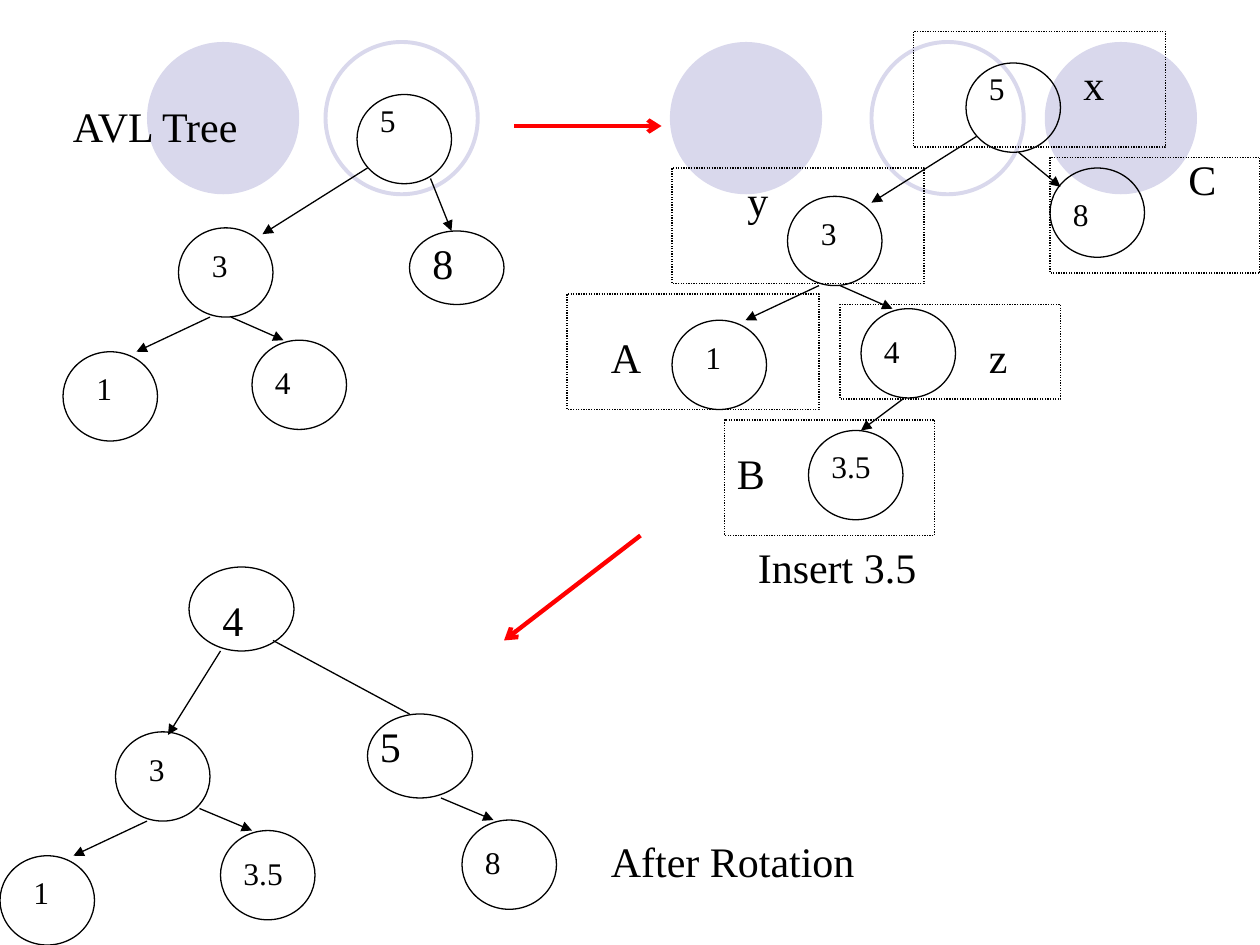
"""Build a slide showing an AVL tree before insertion, after it and after rotation."""
from dataclasses import dataclass

from lxml import etree
from pptx import Presentation
from pptx.dml.color import RGBColor
from pptx.enum.dml import MSO_LINE
from pptx.enum.shapes import MSO_CONNECTOR, MSO_SHAPE
from pptx.enum.text import MSO_ANCHOR, PP_ALIGN
from pptx.oxml.ns import qn
from pptx.util import Inches, Pt

OVAL, RECT = MSO_SHAPE.OVAL, MSO_SHAPE.RECTANGLE
STRAIGHT, DOTTED = MSO_CONNECTOR.STRAIGHT, MSO_LINE.ROUND_DOT
TOP, LEFT = MSO_ANCHOR.TOP, PP_ALIGN.LEFT


@dataclass(frozen=True)
class Theme:
    """Colours, font and sizes of the slide."""
    ink: RGBColor = RGBColor(0, 0, 0)
    lilac: RGBColor = RGBColor(0xD9, 0xD8, 0xEC)
    red: RGBColor = RGBColor(0xFF, 0, 0)
    font: str = "Times New Roman"
    small: int = 18
    large: int = 24
    thin: float = 0.75
    ring: float = 2.25
    thick: float = 2.5


THEME = Theme()
WIDTH, HEIGHT = Inches(10), Inches(7.5)
COLUMNS, ROWS = 120, 90
NODE, WIDE, FLAT = (9, 8.5), (10, 8), (9, 7)
CIRCLE_TOP, CIRCLE_SIZE = 4, 14.5
DISCS, RINGS = (63.8, 99.5, 14), (83, 31)

TITLE = ("AVL Tree", (5.75, 9), (48, 6))
CAPTIONS = [("Insert 3.5", (71, 51), (49, 6)), ("After Rotation", (57, 79), (30, 6))]

TREES = {
    "before": {
        "nodes": [
            ("5", (34, 9), NODE, (1, 0), THEME.small),
            ("3", (17, 21.7), NODE, (2, 1.1), THEME.small),
            ("1", (6, 33.5), NODE, (2, 1.1), THEME.small),
            ("4", (24, 32.4), NODE, (1, 1.6), THEME.small),
            ("8", (39, 22), FLAT, (1, 0), THEME.large),
        ],
        "edges": [
            ((35, 16), (25, 22.3), "triangle"),
            ((41, 17), (43, 22), "triangle"),
            ((20, 30.2), (13, 33.5), "triangle"),
            ((22, 30.2), (27, 32.4), "triangle"),
        ],
    },
    "inserted": {
        "nodes": [
            ("5", (92, 6), NODE, (1, 0), THEME.small),
            ("3", (75, 18.7), NODE, (2, 1.1), THEME.small),
            ("1", (64, 30.5), NODE, (2, 1.1), THEME.small),
            ("4", (82, 29.4), NODE, (1, 1.6), THEME.small),
            ("8", (100, 16), NODE, (1, 2), THEME.small),
            ("3.5", (77, 41), NODE, (1, 1), THEME.small),
        ],
        "edges": [
            ((93, 13), (83, 19.3), "triangle"),
            ((97, 14.5), (101, 17.8), "triangle"),
            ((78, 27.2), (71, 30.5), "triangle"),
            ((80, 27.2), (85, 29.4), "triangle"),
            ((86, 38), (82, 41), "triangle"),
        ],
    },
    "rotated": {
        "nodes": [
            ("4", (18, 54), WIDE, (2, 2), THEME.large),
            ("5", (35, 68), WIDE, (0, 0), THEME.large),
            ("3", (11, 69.7), NODE, (2, 1.1), THEME.small),
            ("1", (0, 81.5), NODE, (2, 1.1), THEME.small),
            ("3.5", (21, 79.1), NODE, (1, 1.6), THEME.small),
            ("8", (44, 78.1), NODE, (1, 1.6), THEME.small),
        ],
        "edges": [
            ((26, 61), (39, 68), None),
            ((21, 62), (16, 70), "triangle"),
            ((14, 78.2), (7, 81.5), "triangle"),
            ((19, 77), (24, 79.1), "triangle"),
            ((42, 76), (47, 78.1), "triangle"),
        ],
    },
}

SUBTREES = [
    ("x", (87, 3), (24, 11), (15, 2)),
    ("y", (64, 16), (24, 11), (6, 0)),
    ("A", (54, 28), (24, 11), (3, 3)),
    ("z", (80, 29), (21, 9), (13, 2)),
    ("B", (69, 40), (20, 11), (0, 2)),
    ("C", (100, 15), (20, 11), (12, -1)),
]
STEPS = [((49, 12), (63, 12)), ((61, 51), (48, 61))]


def place(column, row):
    return round(WIDTH * column / COLUMNS), round(HEIGHT * row / ROWS)


def assign(target, formats):
    for key, value in formats.items():
        setattr(target, key, value)


def add_outline(slide, preset, corner, size, color=THEME.ink, weight=THEME.thin, filled=False):
    outline = slide.shapes.add_shape(preset, *place(*corner), *place(*size))
    outline.shadow.inherit = False
    if filled:
        outline.fill.solid()
        outline.fill.fore_color.rgb = color
        outline.line.fill.background()
    else:
        outline.fill.background()
        outline.line.color.rgb = color
        outline.line.width = Pt(weight)
    return outline


def write(box, text, size):
    frame = box.text_frame
    assign(frame, {"text": text, "word_wrap": True, "vertical_anchor": TOP,
                   "margin_left": Inches(0.1), "margin_right": Inches(0.1),
                   "margin_top": Inches(0.05), "margin_bottom": Inches(0.05)})
    paragraph = frame.paragraphs[0]
    assign(paragraph, {"alignment": LEFT, "space_before": Pt(size * 0.625)})
    assign(paragraph.runs[0].font, {"name": THEME.font, "size": Pt(size)})
    paragraph.runs[0].font.color.rgb = THEME.ink


def add_label(slide, text, corner, extent, size=THEME.large):
    write(slide.shapes.add_textbox(*place(*corner), *place(*extent)), text, size)


def add_arrow(slide, start, end, head, color=THEME.ink, weight=THEME.thin):
    arrow = slide.shapes.add_connector(STRAIGHT, *place(*start), *place(*end))
    arrow.line.color.rgb = color
    arrow.line.width = Pt(weight)
    if head:
        etree.SubElement(arrow.line._get_or_add_ln(), qn("a:tailEnd"), type=head)
    etree.SubElement(arrow.element.spPr, qn("a:effectLst"))


def offset(corner, shift):
    return corner[0] + shift[0], corner[1] + shift[1]


def add_title(slide):
    text, corner, size = TITLE
    title = slide.shapes.title
    slide.shapes.element.append(title.element)
    for keys, values in ((("left", "top"), place(*corner)), (("width", "height"), place(*size))):
        assign(title, dict(zip(keys, values)))
    write(title, text, THEME.large)


def add_tree(slide, nodes, edges):
    for value, corner, size, shift, type_size in nodes:
        add_outline(slide, OVAL, corner, size)
        add_label(slide, value, offset(corner, shift), (10, 5), type_size)
    for start, end, head in edges:
        add_arrow(slide, start, end, head)


def main():
    deck = Presentation()
    assign(deck, {"slide_width": WIDTH, "slide_height": HEIGHT})
    slide = deck.slides.add_slide(deck.slide_layouts[5])
    for lefts, filled in ((DISCS, True), (RINGS, False)):
        for left in lefts:
            add_outline(slide, OVAL, (left, CIRCLE_TOP), (CIRCLE_SIZE, CIRCLE_SIZE),
                        THEME.lilac, THEME.ring, filled)
    add_title(slide)
    for tree in TREES.values():
        add_tree(slide, **tree)
    for name, corner, size, shift in SUBTREES:
        add_outline(slide, RECT, corner, size).line.dash_style = DOTTED
        add_label(slide, name, offset(corner, shift), (8, 6))
    for text, corner, extent in CAPTIONS:
        add_label(slide, text, corner, extent)
    for start, end in STEPS:
        add_arrow(slide, start, end, "arrow", THEME.red, THEME.thick)
    deck.save("out.pptx")


if __name__ == "__main__":
    main()
